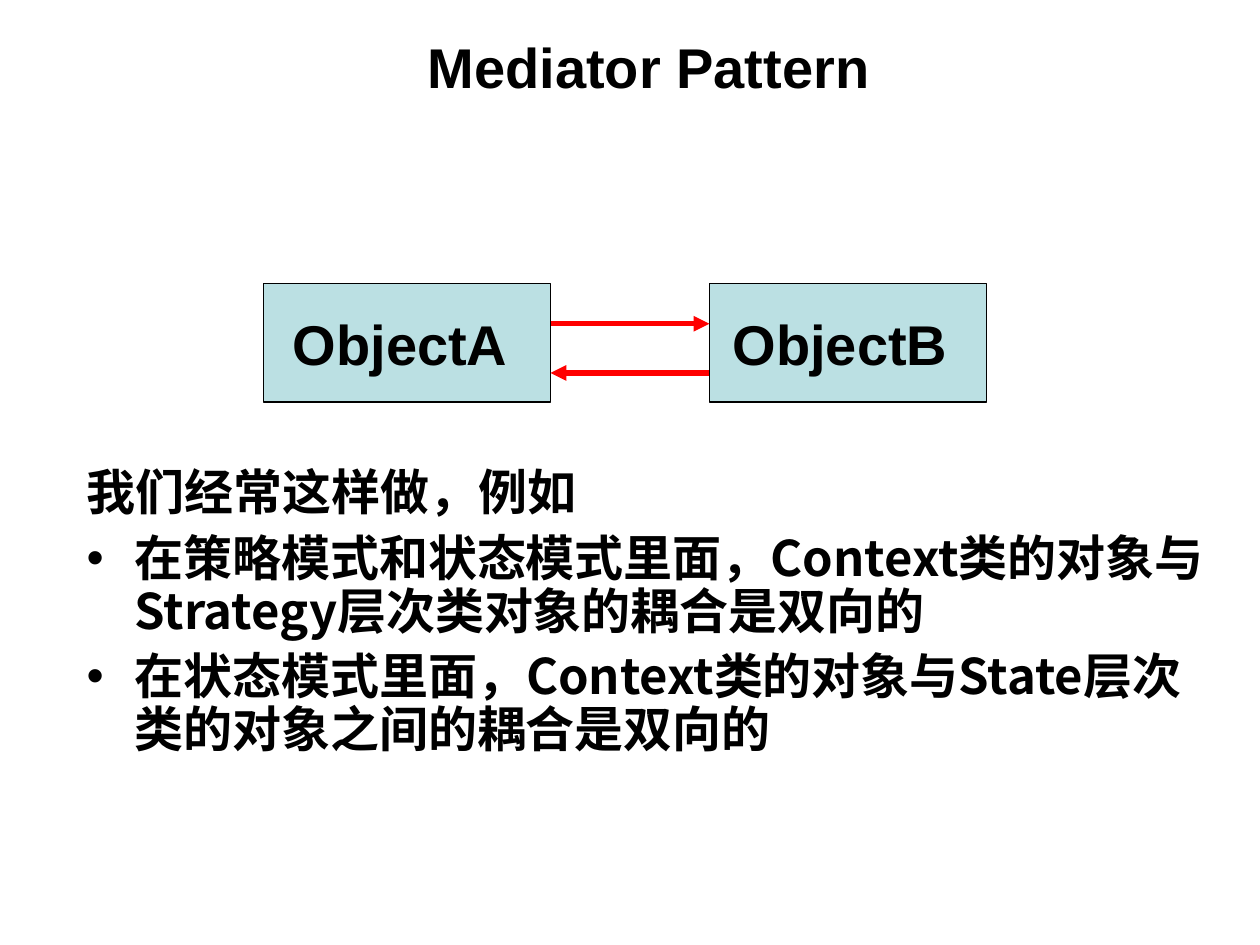
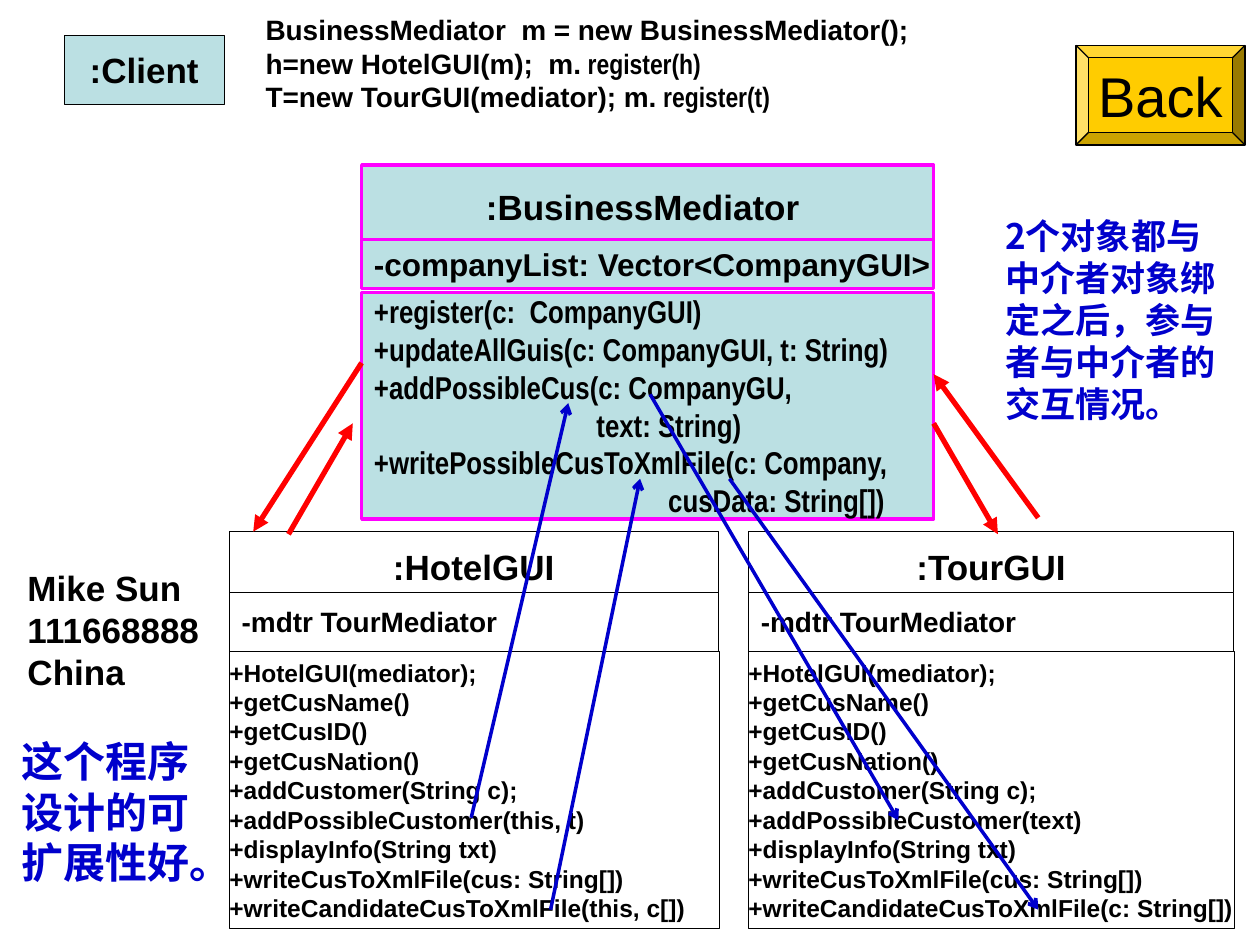
import pptx
import pptx.util
import pptx.dml.color
import pptx.enum.shapes
import pptx.enum.text
import pptx.oxml
import pptx.oxml.ns

Inches = pptx.util.Inches
Pt = pptx.util.Pt
ALIGN = pptx.enum.text.PP_ALIGN
ANCHOR = pptx.enum.text.MSO_ANCHOR
SHAPE = pptx.enum.shapes.MSO_SHAPE
qn = pptx.oxml.ns.qn

COLORS = {
    "ink": "000000",
    "note": "0000CC",
    "paper": "FFFFFF",
    "object": "BBE0E3",
    "mediator": "FF00FF",
    "message": "FF0000",
    "button": "FFCC00",
}
LATIN = "Arial"
NARROW = "Arial Narrow"
CHINESE = "Noto Sans CJK SC"


def write_lines(box, lines, size, font=LATIN, color="ink", bold=True, align=ALIGN.LEFT,
                anchor=ANCHOR.TOP, wrap=True, side=0.1):
    frame = box.text_frame
    frame.auto_size = pptx.enum.text.MSO_AUTO_SIZE.NONE
    frame.word_wrap = wrap
    frame.vertical_anchor = anchor
    frame.margin_left = frame.margin_right = Inches(side)
    frame.margin_top = frame.margin_bottom = Inches(0.05)
    for index, line in enumerate(lines):
        para = frame.paragraphs[0] if index == 0 else frame.add_paragraph()
        para.alignment = align
        pieces = [(line, font)] if isinstance(line, str) else line
        for text, face in pieces:
            span = para.add_run()
            span.text = text
            span.font.size = Pt(size)
            span.font.bold = bold
            span.font.color.rgb = pptx.dml.color.RGBColor.from_string(COLORS[color])
            span.font.name = face
            if face == CHINESE:
                east = pptx.oxml.parse_xml(
                    f'<a:ea {pptx.oxml.ns.nsdecls("a")} typeface="{face}"/>')
                span.font.fill  
                span._r.get_or_add_rPr().append(east)


def draw_arrow(page, start, end, color, width, head):
    arrow = page.shapes.add_connector(
        pptx.enum.shapes.MSO_CONNECTOR.STRAIGHT, *map(Inches, start + end))
    arrow.line.color.rgb = pptx.dml.color.RGBColor.from_string(COLORS[color])
    arrow.line.width = Pt(width)
    properties = arrow._element.spPr
    tail = properties.find(qn("a:ln")).makeelement(qn("a:tailEnd"), {"type": head})
    properties.find(qn("a:ln")).append(tail)
    properties.append(properties.makeelement(qn("a:effectLst"), {}))


deck = pptx.Presentation()
deck.slide_width = Inches(10)
deck.slide_height = Inches(7.5)
pattern_page = deck.slides.add_slide(deck.slide_layouts[5])
client_page = deck.slides.add_slide(deck.slide_layouts[6])

title = pattern_page.shapes.title
title.left, title.top, title.width, title.height = map(Inches, (2.94, 0.22, 4.42, 0.61))
write_lines(title, ["Mediator Pattern"], 32, align=ALIGN.CENTER, anchor=ANCHOR.MIDDLE)

examples = pattern_page.shapes.add_textbox(*map(Inches, (0.59, 3.67, 9.06, 2.6)))
write_lines(examples, [
    "我们经常这样做，例如",
    "在策略模式和状态模式里面，Context类的对象与Strategy层次类对象的耦合是双向的",
    "在状态模式里面，Context类的对象与State层次类的对象之间的耦合是双向的",
], 28, font=CHINESE)
for index, para in enumerate(examples.text_frame.paragraphs):
    properties = para._p.get_or_add_pPr()
    properties.set("marL", str(Inches(0.38)))
    properties.set("indent", str(-Inches(0.38)))
    if index == 0:
        properties.append(properties.makeelement(qn("a:buNone"), {}))
    else:
        properties.append(properties.makeelement(qn("a:buFont"), {"typeface": LATIN}))
        properties.append(properties.makeelement(qn("a:buChar"), {"char": "•"}))
        para.space_before = Pt(7)
    para.line_spacing = 0.9

mediator_methods = [
    "+register(c:  CompanyGUI)",
    "+updateAllGuis(c: CompanyGUI, t: String)",
    "+addPossibleCus(c: CompanyGU,",
    "                               text: String)",
    "+writePossibleCusToXmlFile(c: Company,",
    "                                         cusData: String[])",
]
centered = {"align": ALIGN.CENTER}
boxes = [
    (pattern_page, (2.09, 2.25, 2.28, 0.94), "object", "ink", ["ObjectA "], 32, centered),
    (pattern_page, (5.63, 2.25, 2.2, 0.94), "object", "ink", ["ObjectB "], 32, centered),
    (client_page, (8.54, 0.36, 1.34, 0.79), "button", "ink", ["Back"], 32,
     {"align": ALIGN.CENTER, "bold": False}),
    (client_page, (2.87, 1.31, 4.54, 0.66), "object", "mediator", [":BusinessMediator "], 20,
     centered),
    (client_page, (2.87, 1.9, 4.54, 0.39), "object", "mediator",
     ["-companyList: Vector<CompanyGUI>"], 18, {}),
    (client_page, (2.87, 2.32, 4.54, 1.8), "object", "mediator", mediator_methods, 18,
     {"font": NARROW}),
    (client_page, (0.51, 0.28, 1.27, 0.55), "object", "ink", [":Client"], 20, centered),
]
for name, left, width, possible, candidate in [
    (":HotelGUI", 1.82, 3.88, "this, t", "this, c[]"),
    (":TourGUI", 5.94, 3.85, "text", "c: String[]"),
]:
    methods = [
        "+HotelGUI(mediator);",
        "+getCusName()",
        "+getCusID()",
        "+getCusNation()",
        "+addCustomer(String c);",
        f"+addPossibleCustomer({possible})",
        "+displayInfo(String txt)",
        "+writeCusToXmlFile(cus: String[])",
        f"+writeCandidateCusToXmlFile({candidate})",
    ]
    boxes += [
        (client_page, (left, 4.22, width, 0.55), "paper", "ink", [name], 20, centered),
        (client_page, (left, 4.7, width, 0.47), "paper", "ink", ["-mdtr TourMediator"], 16, {}),
        (client_page, (left, 5.17, width + 0.01, 2.2), "paper", "ink", methods, 14, {"side": 0}),
    ]
for page, place, fill, outline, lines, size, style in boxes:
    kind = SHAPE.BEVEL if fill == "button" else SHAPE.RECTANGLE
    box = page.shapes.add_shape(kind, *map(Inches, place))
    box.shadow.inherit = False
    box.fill.solid()
    box.fill.fore_color.rgb = pptx.dml.color.RGBColor.from_string(COLORS[fill])
    box.line.color.rgb = pptx.dml.color.RGBColor.from_string(COLORS[outline])
    box.line.width = Pt(1.75 if outline == "mediator" else 0.75)
    write_lines(box, lines, size, anchor=ANCHOR.MIDDLE, wrap=False, **style)

setup_code = [
    "BusinessMediator  m = new BusinessMediator();",
    [("h=new HotelGUI(m);  m.", LATIN), (" register(h)", NARROW)],
    [("T=new TourGUI(mediator); m.", LATIN), (" register(t)", NARROW)],
]
for place, lines, size, style in [
    ((2.01, 0.05, 7.56, 0.9), setup_code, 16, {}),
    ((7.88, 1.65, 1.93, 1.77), ["2个对象都与中介者对象绑定之后，参与者与中介者的交互情况。"], 20,
     {"font": CHINESE, "color": "note"}),
    ((0.12, 4.45, 1.66, 1.1), ["Mike Sun", "111668888", "China"], 20, {}),
    ((0.17, 5.79, 1.52, 1.3), ["这个程序", "设计的可", "扩展性好。"], 24,
     {"font": CHINESE, "color": "note", "side": 0}),
]:
    write_lines(client_page.shapes.add_textbox(*map(Inches, place)), lines, size, **style)

for page, start, end in [
    (pattern_page, (4.37, 2.57), (5.63, 2.57)),
    (pattern_page, (5.63, 2.96), (4.37, 2.96)),
    (client_page, (2.87, 2.88), (2.01, 4.22)),
    (client_page, (2.29, 4.24), (2.8, 3.36)),
    (client_page, (7.41, 3.36), (7.92, 4.24)),
    (client_page, (8.24, 4.11), (7.41, 2.97)),
]:
    draw_arrow(page, start, end, "message", 3, "triangle")
for start, end in [
    ((3.74, 6.49), (4.51, 3.2)),
    ((5.16, 3.13), (7.13, 6.51)),
    ((4.37, 7.22), (5.08, 3.8)),
    ((5.79, 3.8), (8.24, 7.22)),
]:
    draw_arrow(client_page, start, end, "note", 2, "arrow")

deck.save("out.pptx")
